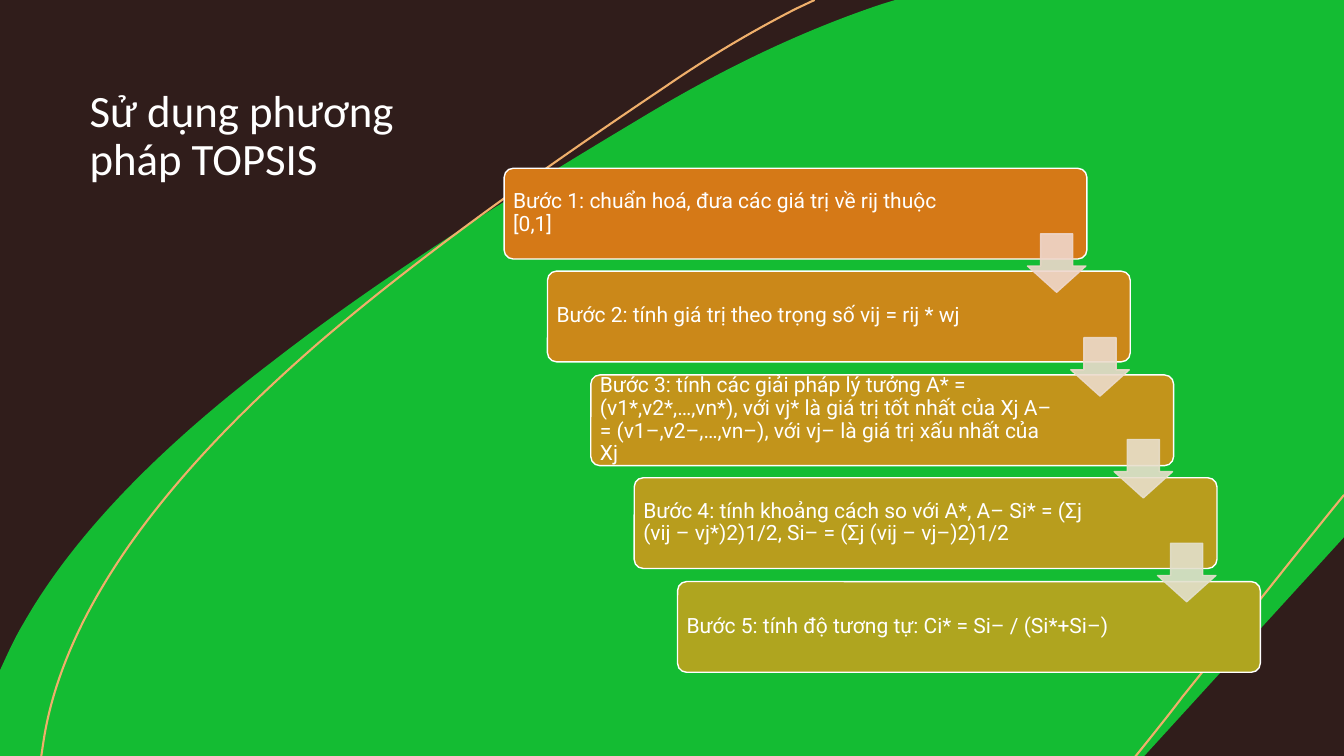
from lxml.etree import Element, SubElement
from pptx import Presentation
from pptx.dml.color import RGBColor
from pptx.enum.shapes import MSO_SHAPE as Shape
from pptx.enum.text import MSO_ANCHOR as Anchor
from pptx.oxml.ns import qn
from pptx.util import Pt

EMU_PER_PX = 9144
WIDTH, HEIGHT = 1333, 750
DARK, GREEN, SAND, WHITE = "301D1B", "14BC33", "EFAF6B", "FFFFFF"

LEAF = [(888, 0), (1333, 0), (1333, 533), (1135, 750), (0, 750), (0, 666), (0, 665),
        (7, 650, 14, 634, 23, 619), (74, 529, 161, 442, 270, 359),
        (378, 275, 507, 194, 641, 114), (726, 63, 803, 28, 875, 4)]
LONG_VEIN = [(41, 750), (43, 737), (49, 696, 63, 656, 83, 616),
             (131, 521, 213, 430, 314, 342), (415, 255, 535, 170, 660, 86),
             (705, 55, 748, 30, 789, 9), (808, 0)]
SHORT_VEIN = [(1333, 491), (1333, 491), (1280, 556, 1227, 624, 1173, 691),
              (1158, 711, 1124, 753, 1124, 753)]

STEPS = [
    ("Bước 1: chuẩn hoá, đưa các giá trị về rij thuộc [0,1]", "D57917"),
    ("Bước 2: tính giá trị theo trọng số vij = rij * wj", "CB8819"),
    ("Bước 3: tính các giải pháp lý tưởng A* = (v1*,v2*,…,vn*), với vj* là giá trị "
     "tốt nhất của Xj A– = (v1–,v2–,…,vn–), với vj– là giá trị xấu nhất của Xj", "C2941B"),
    ("Bước 4: tính khoảng cách so với A*, A– Si* = (Σj (vij – vj*)2)1/2, "
     "Si– = (Σj (vij – vj–)2)1/2", "B89D1D"),
    ("Bước 5: tính độ tương tự: Ci* = Si– / (Si*+Si–)", "AFA51F"),
]
ARROWS = [(232, "EFD7CC"), (335, "ECDBCC"), (436, "E8DFCC"), (539, "E3E0CD")]
STEP_RIGHT = 43


def px(length):
    """Turn pixels into EMU."""
    return round(length * EMU_PER_PX)


def colour(code):
    """Turn a hex string into a colour."""
    return RGBColor.from_string(code)


class SlidePainter:
    """Holds the style and draws elements on the current slide."""

    def __init__(self, slide):
        """Keep the slide and set its background."""
        self.shapes = slide.shapes
        slide.background.fill.solid()
        slide.background.fill.fore_color.rgb = colour(DARK)

    def paint(self, shape, fill=None, line=None, weight=1):
        """Set the fill and line of a shape, without shadow."""
        shape.shadow.inherit = False
        if fill:
            shape.fill.solid()
            shape.fill.fore_color.rgb = colour(fill)
        else:
            shape.fill.background()
        if line:
            shape.line.color.rgb = colour(line)
            shape.line.width = Pt(weight)
        else:
            shape.line.fill.background()
        return shape

    def curve(self, outline, closed=False, **style):
        """Draw an outline of line ends (2 numbers) and cubic curves (6 numbers)."""
        points = [(px(x), px(y)) for segment in outline
                  for x, y in zip(segment[::2], segment[1::2])]
        builder = self.shapes.build_freeform(*points[0])
        builder.add_line_segments(points[1:], close=closed)
        shape = builder.convert_to_shape()
        corners = iter(list(shape._element.spPr.iter(qn("a:lnTo"))))
        for segment in outline[1:]:
            corner = next(corners)
            if len(segment) == 6:
                bend = Element(qn("a:cubicBezTo"))
                corner.addprevious(bend)
                for part in (corner, next(corners), next(corners)):
                    bend.append(part[0])
                    part.getparent().remove(part)
        return self.paint(shape, **style)

    def preset(self, kind, box, adjustments=(), **style):
        """Draw a preset shape."""
        shape = self.shapes.add_shape(kind, *map(px, box))
        for index, value in enumerate(adjustments):
            shape.adjustments[index] = value
        return self.paint(shape, **style)

    def text(self, words, box, font, size, inset, anchor=Anchor.TOP):
        """Write white text in a wrapping box."""
        frame = self.shapes.add_textbox(*map(px, box)).text_frame
        frame.word_wrap = True
        frame.vertical_anchor = anchor
        frame.margin_left = frame.margin_right = px(inset)
        frame.margin_top = frame.margin_bottom = px(min(inset, 5))
        paragraph = frame.paragraphs[0]
        paragraph.line_spacing = 0.9
        run = paragraph.add_run()
        run.text = words
        run.font.name = font
        run.font.size = Pt(size)
        run.font.color.rgb = colour(WHITE)

    def step(self, words, left, top, fill):
        """Draw one step with its text."""
        self.preset(Shape.ROUNDED_RECTANGLE, (left, top, 578, 90), [0.1], fill=fill, line=WHITE)
        self.text(words, (left + 3, top + 2, 471, 85), "Roboto", 15, 6, Anchor.MIDDLE)

    def arrow(self, left, top, tint):
        """Draw a slightly transparent arrow between two steps."""
        arrow = self.preset(Shape.DOWN_ARROW, (left, top, 58, 58), [0.45, 0.55],
                            fill=tint, line=tint)
        arrow.adjustments[0], arrow.adjustments[1] = 0.55, 0.45
        for paint in arrow._element.spPr.iter(qn("a:srgbClr")):
            SubElement(paint, qn("a:alpha")).set("val", "90000")


def main():
    """Build the slide and save it."""
    deck = Presentation()
    deck.slide_width, deck.slide_height = px(WIDTH), px(HEIGHT)
    painter = SlidePainter(deck.slides.add_slide(deck.slide_layouts[6]))

    painter.curve(LEAF, closed=True, fill=GREEN)
    painter.curve(LONG_VEIN, line=SAND, weight=1.5)
    painter.text("Sử dụng phương pháp TOPSIS", (79, 83, 333, 250), "Calibri", 32, 10)
    painter.curve(SHORT_VEIN, line=SAND, weight=1.5)

    for index, (words, fill) in enumerate(STEPS):
        painter.step(words, 500 + STEP_RIGHT * index, 167 + 205 * index // 2, fill)
    for index, (top, tint) in enumerate(ARROWS):
        painter.arrow(1019 + STEP_RIGHT * index, top, tint)

    deck.save("out.pptx")


if __name__ == "__main__":
    main()
